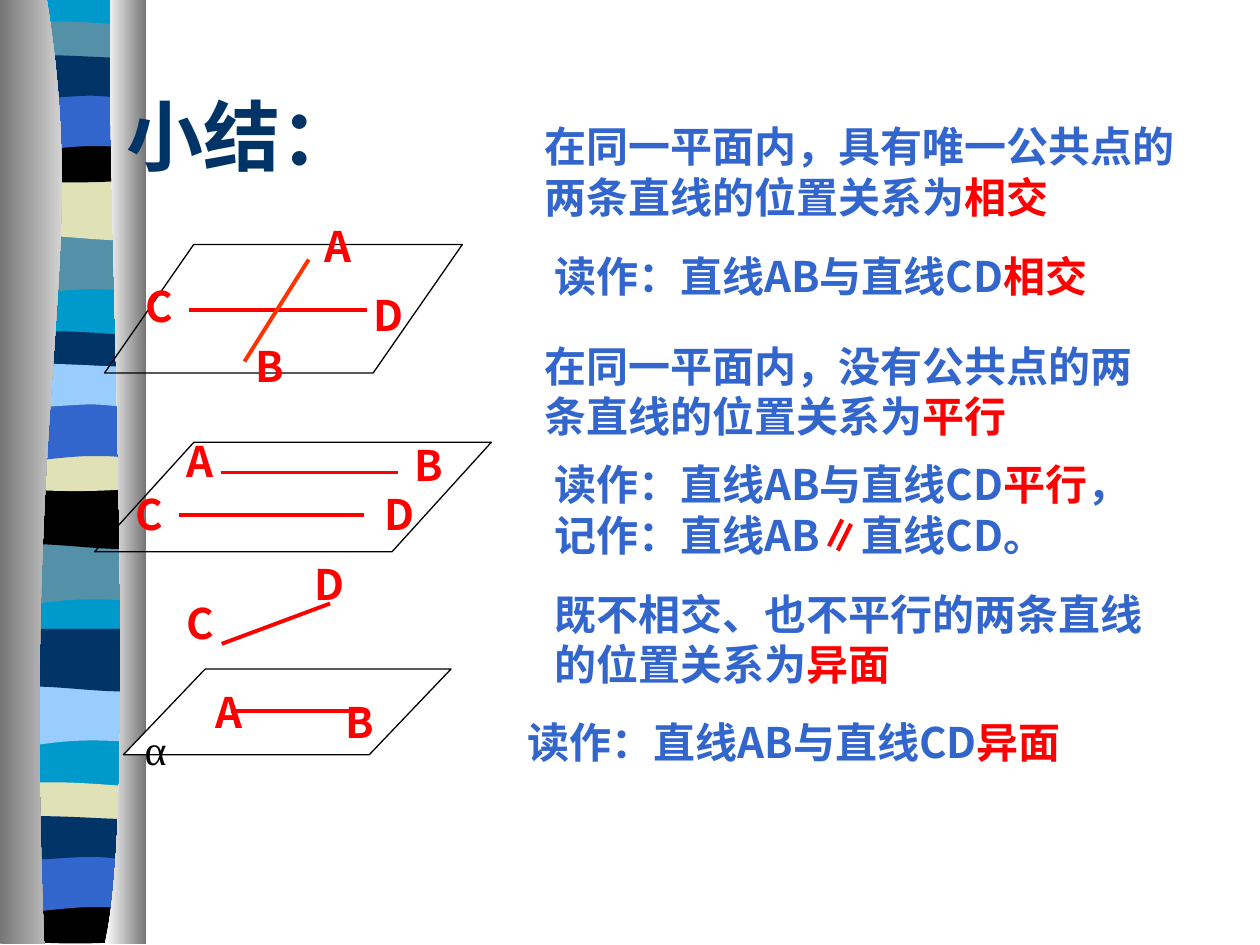
from pptx import Presentation
from pptx.dml.color import RGBColor
from pptx.enum.shapes import MSO_CONNECTOR, MSO_SHAPE
from pptx.enum.text import MSO_ANCHOR, PP_ALIGN
from pptx.oxml.ns import qn
from pptx.util import Inches, Pt

NAVY = RGBColor(0x00, 0x33, 0x66)
BLUE = RGBColor(0x33, 0x66, 0xCC)
CYAN = RGBColor(0x00, 0x99, 0xCC)
TEAL = RGBColor(0x54, 0x90, 0xA8)
SAND = RGBColor(0xE1, 0xE1, 0xB7)
SKY = RGBColor(0x99, 0xCC, 0xFF)
GREY = RGBColor(0x76, 0x76, 0x76)
RED = RGBColor(0xFF, 0x00, 0x00)
ORANGE = RGBColor(0xFF, 0x33, 0x00)
BLACK = RGBColor(0x00, 0x00, 0x00)
WHITE = RGBColor(0xFF, 0xFF, 0xFF)
SANS, SERIF = "Noto Sans CJK SC", "Times New Roman"

# Outlines: a start point, then points (x, y) for lines and six numbers for curves
W = 1.09
PROFILES = {
    "wave": [(W, 0), (W, 0.47), (0.34, 0.39, 0.18, 0.55, 0, 0.47), (0, 0)],
    "roll": [(W, 0), (W, 0.47), (0.91, 0.55, 0.34, 0.42, 0, 0.47), (0, 0)],
    "lens": [(W, 0.05), (W, 0.29), (0.91, 0.34, 0.18, 0.34, 0, 0.29), (0, 0.05),
             (0.07, 0, 0.24, 0.01, 0.42, 0.01), (0.6, 0.01, 0.95, 0.04, W, 0.05)],
    "sag": [(W, 0), (W, 0.33), (0.91, 0.38, 0.19, 0.38, 0, 0.33), (0, 0),
            (0.66, 0.05, 0.86, 0, W, 0)],
    "arch": [(W, 0), (W, 0.47), (0.92, 0.42, 0.85, 0.42, 0.67, 0.42),
             (0.49, 0.42, 0.17, 0.47, 0, 0.47), (0, 0)],
    "ribbon": [(W, 0.05), (W, 0.35), (1.02, 0.4, 0.85, 0.35, 0.67, 0.35),
               (0.49, 0.35, 0.12, 0.4, 0, 0.35), (0, 0.05),
               (0.16, 0, 0.74, 0.05, 0.92, 0.05), (1.1, 0.05, 1.06, 0.05, W, 0.05)],
}
BAND_LEFT = 0.05
BAND_GROUPS = [  # (top, colour) in the order of PROFILES
    [(1.85, TEAL), (1.41, SAND), (0.16, TEAL), (1.08, BLACK), (0.74, BLUE), (0.41, NAVY)],
    [(4.31, TEAL), (3.86, BLACK), (2.62, NAVY), (3.53, SAND), (3.2, BLUE), (2.86, SKY)],
    [(5.43, SKY), (4.99, NAVY), (6.2, SAND), (7.12, BLACK), (6.78, BLUE), (6.45, NAVY)],
]
BACKDROP = [(1.14, -0.01), (1.14, 7.47), (0.05, 7.47), (0.05, -0.01)]
EDGES = [  # outline, left colour, right colour
    ([(0.37, -0.01), (0.72, 2.16, 0.17, 2.96, 0.35, 7.49), (0, 7.49), (0, -0.01)],
     GREY, WHITE),
    ([(0.88, -0.01), (0.83, 1.25, 1.11, 6.46, 0.83, 7.49), (1.16, 7.49), (1.16, 0)],
     WHITE, GREY),
]

STATEMENTS = [  # box, anchor, wrap, runs
    ((4.3, 1.74, 4.74, 0.9), MSO_ANCHOR.MIDDLE, True,
     [("读作：直线AB与直线CD", BLUE), ("相交", RED)]),
    ((4.3, 3.59, 4.97, 0.9), MSO_ANCHOR.MIDDLE, True,
     [("读作：直线AB与直线CD", BLUE), ("平行", RED), ("，记作：直线AB", BLUE),
      ("∥", RED), ("直线CD。", BLUE)]),
    ((4.09, 5.64, 4.84, 0.5), MSO_ANCHOR.MIDDLE, False,
     [("读作：直线AB与直线CD", BLUE), ("异面", RED)]),
    ((4.3, 4.62, 5.15, 0.9), MSO_ANCHOR.TOP, True,
     [("既不相交、也不平行的两条直线的位置关系为", BLUE), ("异面", RED)]),
    ((4.22, 0.91, 5.36, 0.9), MSO_ANCHOR.MIDDLE, True,
     [("在同一平面内，具有唯一公共点的两条直线的位置关系为", BLUE), ("相交", RED)]),
    ((4.22, 2.65, 4.87, 0.9), MSO_ANCHOR.MIDDLE, True,
     [("在同一平面内，没有公共点的两条直线的位置关系为", BLUE), ("平行", RED)]),
]
DIAGRAMS = [  # plane box, slant, fill, lines, label corners
    ((0.83, 1.94, 2.84, 1.02), 0.694, None,
     [(1.5, 2.46, 2.91, 2.46, RED), (2.45, 2.06, 1.94, 2.87, ORANGE)],
     {"D": (2.87, 2.25), "A": (2.48, 1.7), "B": (1.93, 2.65), "C": (1.06, 2.18)}),
    ((0.75, 3.51, 3.15, 0.87), 0.907, None,
     [(1.42, 4.09, 2.89, 4.09, RED), (1.75, 3.75, 3.16, 3.75, RED)],
     {"A": (1.38, 3.41), "B": (3.19, 3.44), "C": (0.98, 3.83), "D": (2.95, 3.83)}),
    ((0.98, 5.31, 2.6, 0.68), 0.954, WHITE,
     [(1.83, 5.64, 2.88, 5.64, RED), (1.76, 5.11, 2.62, 4.79, RED)],
     {"A": (1.61, 5.4), "B": (2.64, 5.48), "C": (1.38, 4.69), "D": (2.4, 4.38)}),
]


def add_outline(shapes, outline, left=0, top=0):
    """Draw a closed outline; the three segments of each curve become one Bézier."""
    points = [(Inches(left + part[i]), Inches(top + part[i + 1]))
              for part in outline for i in range(0, len(part), 2)]
    builder = shapes.build_freeform(*points[0])
    builder.add_line_segments(points[1:])
    sp = builder.convert_to_shape()
    segments = iter(list(sp._element.iter(qn("a:lnTo"))))
    for part in outline[1:]:
        first = next(segments)
        if len(part) == 6:
            first.tag = qn("a:cubicBezTo")
            for _ in range(2):
                extra = next(segments)
                first.append(extra[0])
                extra.getparent().remove(extra)
    sp.shadow.inherit = False
    sp.line.fill.background()
    return sp


def fill_solid(sp, color):
    sp.fill.solid()
    sp.fill.fore_color.rgb = color


def add_text(shapes, box, runs, size=24, font=SANS, bold=True,
             anchor=MSO_ANCHOR.TOP, wrap=True, align=PP_ALIGN.LEFT):
    tf = shapes.add_textbox(*map(Inches, box)).text_frame
    tf.word_wrap = wrap
    tf.vertical_anchor = anchor
    p = tf.paragraphs[0]
    p.alignment = align
    p._p.get_or_add_pPr().set("hangingPunct", "0")
    p.font.size, p.font.bold, p.font.name = Pt(size), bold, font
    for text, color in runs:
        r = p.add_run()
        r.text = text
        r.font.color.rgb = color
        r.font.name = font
        ea = r.font._element.makeelement(qn("a:ea"), {"typeface": SANS})
        r.font._element.append(ea)


def add_line(shapes, x1, y1, x2, y2, color):
    line = shapes.add_connector(MSO_CONNECTOR.STRAIGHT, *map(Inches, (x1, y1, x2, y2)))
    line.line.color.rgb = color
    line.line.width = Pt(2.25)
    sp_pr = line._element.spPr
    sp_pr.append(sp_pr.makeelement(qn("a:effectLst"), {}))


def add_plane(shapes, box, slant, color):
    sp = shapes.add_shape(MSO_SHAPE.PARALLELOGRAM, *map(Inches, box))
    sp.adjustments[0] = slant
    sp.shadow.inherit = False
    sp.line.color.rgb = BLACK
    sp.line.width = Pt(0.75)
    if color is None:
        sp.fill.background()
    else:
        fill_solid(sp, color)


def main():
    prs = Presentation()
    prs.slide_width, prs.slide_height = Inches(10), Inches(7.5)
    shapes = prs.slides.add_slide(prs.slide_layouts[6]).shapes

    fill_solid(add_outline(shapes, BACKDROP), CYAN)
    for group in BAND_GROUPS:
        for outline, (top, color) in zip(PROFILES.values(), group):
            fill_solid(add_outline(shapes, outline, BAND_LEFT, top), color)
    for outline, *colors in EDGES:
        fill = add_outline(shapes, outline).fill
        fill.gradient()
        fill.gradient_angle = 0
        for stop, color in zip(fill.gradient_stops, colors):
            stop.color.rgb = color

    add_text(shapes, (0.91, 0.44, 4.96, 1.25), [("小结：", NAVY)], size=44, font=SERIF,
             anchor=MSO_ANCHOR.MIDDLE)
    for plane, slant, color, lines, labels in DIAGRAMS:
        add_plane(shapes, plane, slant, color)
        for line in lines:
            add_line(shapes, *line)
        for letter, (x, y) in labels.items():
            width = 0.39 if letter == "A" else 0.47
            add_text(shapes, (x, y, width, 0.5), [(letter, RED)])
    add_text(shapes, (1.05, 5.69, 0.43, 0.34), [("α", BLACK)], font=SERIF, bold=False,
             align=PP_ALIGN.JUSTIFY)
    for box, anchor, wrap, runs in STATEMENTS:
        add_text(shapes, box, runs, anchor=anchor, wrap=wrap)

    prs.save("out.pptx")


if __name__ == "__main__":
    main()
